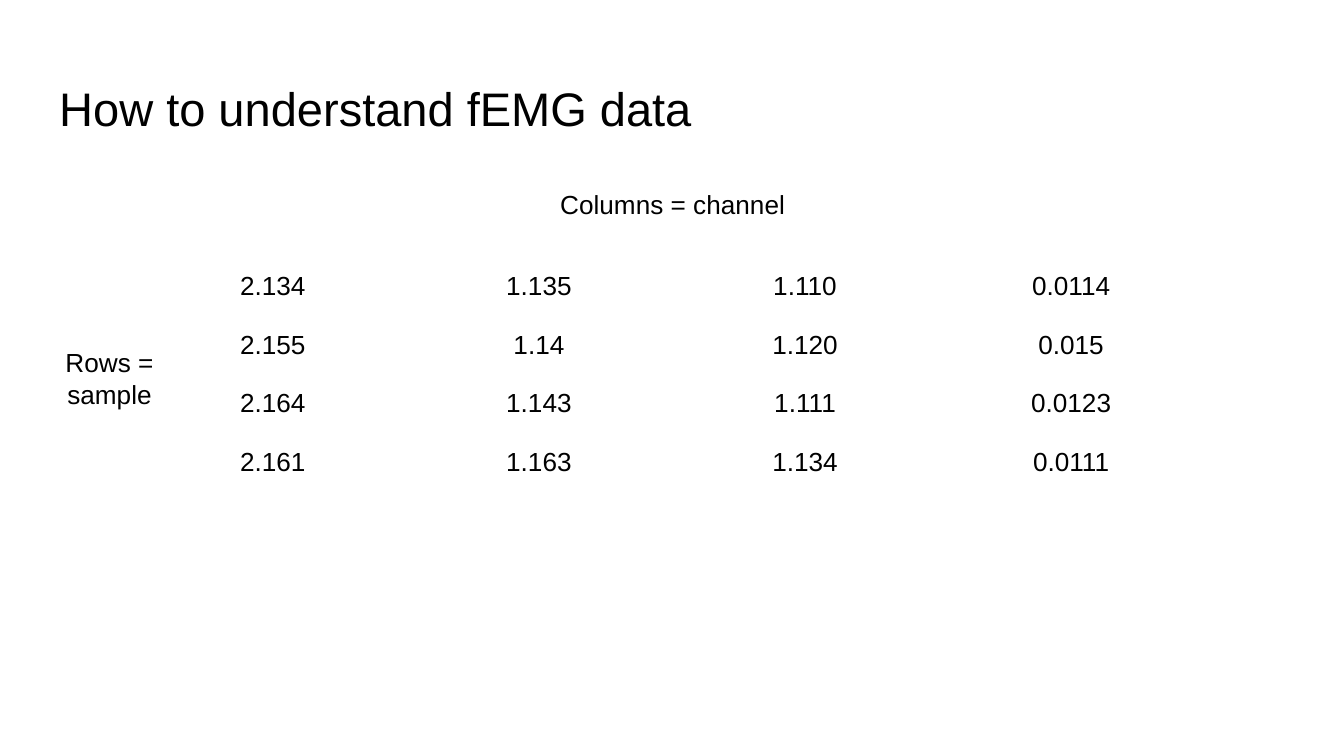
import dataclasses

import pptx
import pptx.dml.color
import pptx.enum.text
import pptx.util

Inches = pptx.util.Inches
TOP = pptx.enum.text.MSO_ANCHOR.TOP
LEFT = pptx.enum.text.PP_ALIGN.LEFT
CENTER = pptx.enum.text.PP_ALIGN.CENTER


@dataclasses.dataclass(frozen=True)
class Theme:
    """Type and colours of the slide."""

    font: str = "Arial"
    ink: str = "000000"
    paper: str = "FFFFFF"
    title_size: float = 25.2
    body_size: float = 14


THEME = Theme()
SAMPLES = [
    ["2.134", "1.135", "1.110", "0.0114"],
    ["2.155", "1.14", "1.120", "0.015"],
    ["2.164", "1.143", "1.111", "0.0123"],
    ["2.161", "1.163", "1.134", "0.0111"],
]


def set_margins(holder):
    """Give a text frame or a table cell equal insets."""
    for side in ("left", "top", "right", "bottom"):
        setattr(holder, f"margin_{side}", Inches(0.1))


def write(frame, text, size, alignment):
    """Fill a text frame with one styled paragraph."""
    frame.text = text
    paragraph = frame.paragraphs[0]
    paragraph.alignment = alignment
    paragraph.font.name = THEME.font
    paragraph.font.size = pptx.util.Pt(size)
    paragraph.font.color.rgb = pptx.dml.color.RGBColor.from_string(THEME.ink)


def place_title(slide, text, left, top, width, height):
    """Move and format the title placeholder."""
    title = slide.shapes.title
    title.left, title.top = Inches(left), Inches(top)
    title.width, title.height = Inches(width), Inches(height)
    frame = title.text_frame
    set_margins(frame)
    frame.vertical_anchor = TOP
    frame.auto_size = pptx.enum.text.MSO_AUTO_SIZE.NONE
    write(frame, text, THEME.title_size, LEFT)


def add_label(slide, text, left, top, width, height):
    """Add a centred label that wraps inside its box."""
    label = slide.shapes.add_textbox(Inches(left), Inches(top), Inches(width), Inches(height))
    frame = label.text_frame
    set_margins(frame)
    frame.word_wrap = True
    frame.auto_size = pptx.enum.text.MSO_AUTO_SIZE.SHAPE_TO_FIT_TEXT
    write(frame, text, THEME.body_size, CENTER)


def add_data_table(slide, rows, left, top, width, height):
    """Add a plain table with equal rows and columns."""
    table = slide.shapes.add_table(
        len(rows), len(rows[0]), Inches(left), Inches(top), Inches(width), Inches(height)
    ).table
    table.first_row = False
    table.horz_banding = False
    for row, values in enumerate(rows):
        for column, value in enumerate(values):
            cell = table.cell(row, column)
            cell.fill.background()
            cell.vertical_anchor = TOP
            set_margins(cell)
            write(cell.text_frame, value, THEME.body_size, CENTER)


def main():
    """Build and save the slide."""
    deck = pptx.Presentation()
    deck.slide_width = Inches(10)
    deck.slide_height = deck.slide_width * 9 // 16
    slide = deck.slides.add_slide(deck.slide_layouts[5])
    backdrop = slide.background.fill
    backdrop.solid()
    backdrop.fore_color.rgb = pptx.dml.color.RGBColor.from_string(THEME.paper)
    place_title(slide, "How to understand fEMG data", 0.34, 0.49, 9.32, 0.63)
    add_data_table(slide, SAMPLES, 1.04, 1.92, 7.92, 1.75)
    add_label(slide, "Rows = sample", 0.16, 2.48, 1.31, 0.67)
    add_label(slide, "Columns = channel", 3.96, 1.3, 2.09, 0.44)
    deck.save("out.pptx")


if __name__ == "__main__":
    main()
